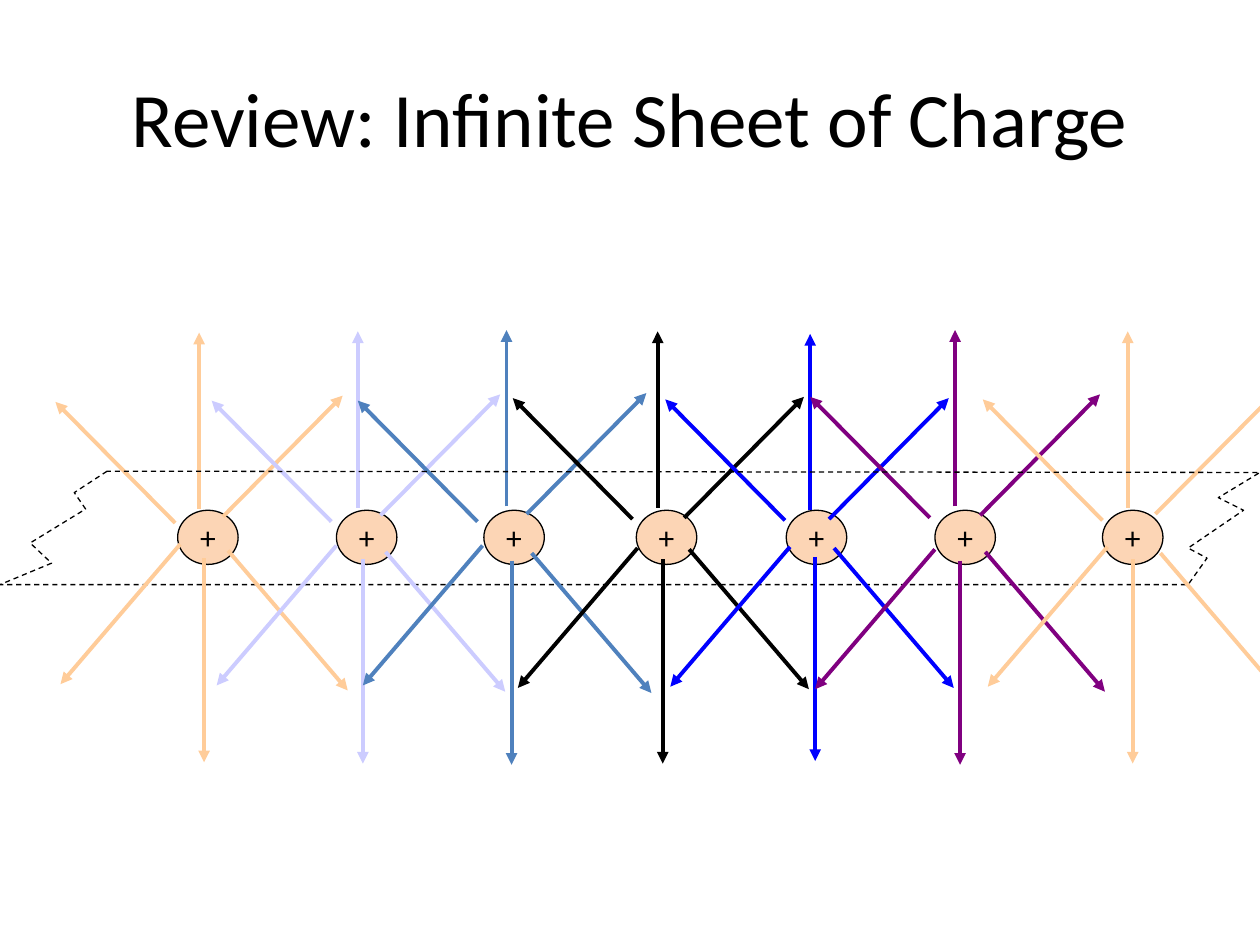
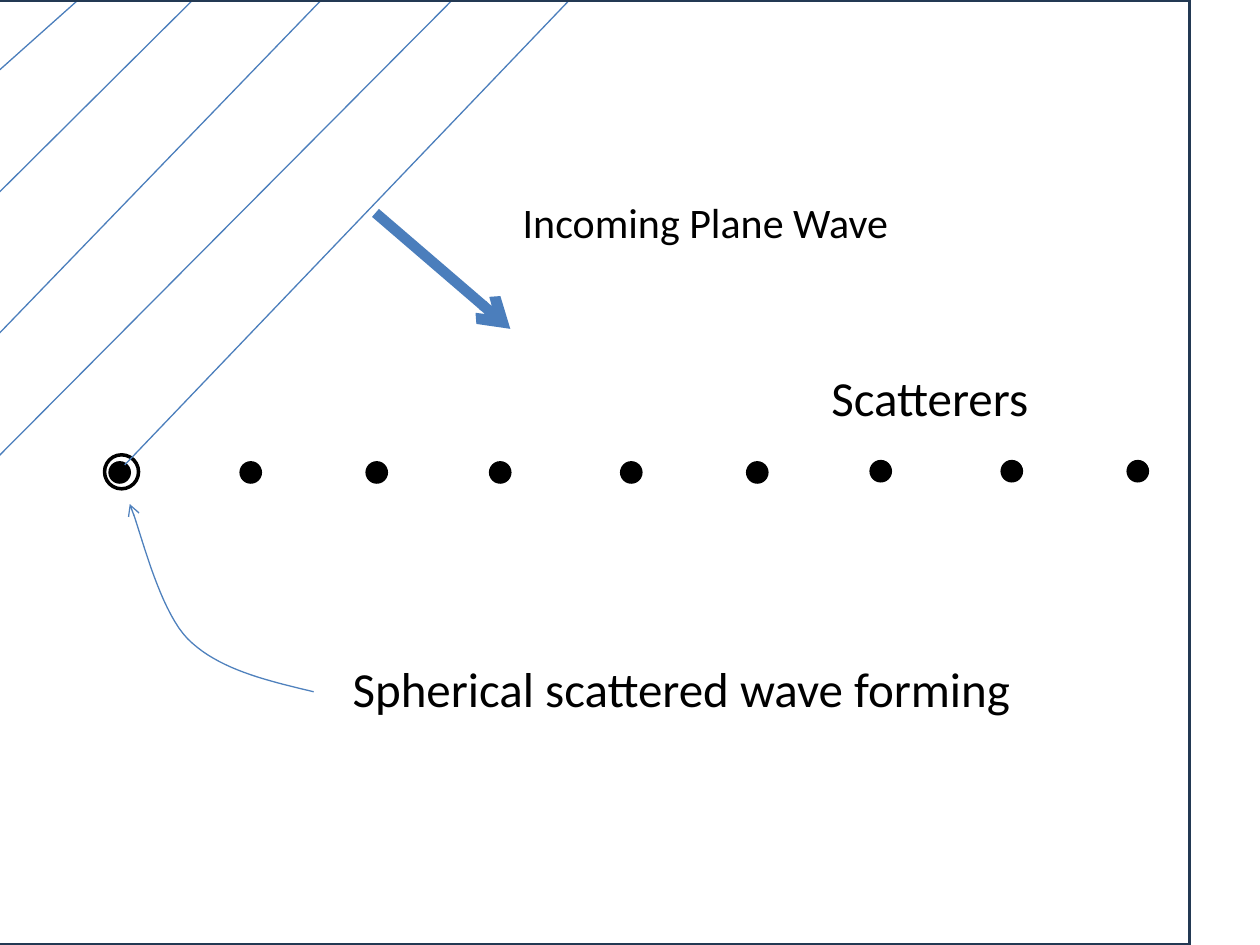
"""Builds two physics slides: a sheet of charge and a row of scatterers."""
from itertools import product
from lxml.etree import SubElement
from pptx import Presentation
from pptx.dml.color import RGBColor
from pptx.enum.dml import MSO_LINE
from pptx.enum.shapes import MSO_CONNECTOR, MSO_SHAPE as SHAPE
from pptx.enum.text import MSO_ANCHOR as ANCHOR, MSO_AUTO_SIZE as AUTO_SIZE, PP_ALIGN as ALIGN
from pptx.oxml.ns import qn
from pptx.util import Pt

SCALE = 9144
WIDTH, HEIGHT = 1000, 750
FONT = "Calibri"
BLACK, STEEL, WAVE, NAVY = "000000", "4F81BD", "4B7EBC", "233953"
PEACH, LILAC, BLUE, PURPLE, SKIN = "FFCC99", "CCCCFF", "0000FF", "800080", "FCD5B5"

CHARGES = [
    (PEACH, 141, (158, 404), (177, 410), (139, 415)),
    (LILAC, 267, (284, 403), (302, 409), (263, 414)),
    (STEEL, 384, (402, 402), (418, 408), (379, 414)),
    (BLACK, 505, (522, 403), (543, 411), (502, 412)),
    (BLUE, 624, (643, 405), (658, 412), (623, 413)),
    (PURPLE, 742, (758, 402), (778, 409), (738, 411)),
    (PEACH, 875, (895, 403), (917, 408), (875, 413)),
]
UP_REACH = [(0, -140), (95, -96), (-95, -96)]
DOWN_REACH = [(0, 162), (95, 111), (-95, 111)]
MIRROR_SHIFT, MIRROR_SUM = 4, 847
SHEET = [(85, 374), (59, 391), (68, 404), (24, 431), (41, 447), (0, 464), (943, 464),
         (958, 443), (943, 435), (987, 405), (967, 395), (1000, 375)]
WAVEFRONTS = [((99, 369), 452), ((-4, 365), 359), ((-2, 266), 255), ((-2, 154), 153), ((-2, 57), 62)]
POINTER = [((249, 549), (211, 540), (173, 531), (149, 507)),
           ((149, 507), (125, 482), (111, 418), (103, 400))]


def color(code):
    return RGBColor.from_string(code)


def px(*lengths):
    return [round(length * SCALE) for length in lengths]


def bezier(points, steps=20):
    for step in range(steps + 1):
        t = step / steps
        weights = ((1 - t) ** 3, 3 * t * (1 - t) ** 2, 3 * t * t * (1 - t), t ** 3)
        yield tuple(sum(w * point[axis] for w, point in zip(weights, points)) for axis in (0, 1))


class Painter:
    """Holds the deck style and draws on the current slide."""

    def __init__(self):
        self.deck = Presentation()
        self.deck.slide_width, self.deck.slide_height = px(WIDTH, HEIGHT)
        self.slide = None

    def new_slide(self, layout):
        self.slide = self.deck.slides.add_slide(self.deck.slide_layouts.get_by_name(layout))

    def set_text(self, frame, text, size, align):
        frame.text = text
        para = frame.paragraphs[0]
        para.alignment = align
        font = para.runs[0].font
        font.name, font.size, font.color.rgb = FONT, Pt(size), color(BLACK)

    def title(self, text, *place):
        box = self.slide.shapes.title
        box.left, box.top, box.width, box.height = px(*place)
        box.text_frame.vertical_anchor = ANCHOR.MIDDLE
        self.set_text(box.text_frame, text, 44, ALIGN.CENTER)

    def label(self, text, size, *place):
        frame = self.slide.shapes.add_textbox(*px(*place)).text_frame
        frame.word_wrap = False
        frame.auto_size = AUTO_SIZE.SHAPE_TO_FIT_TEXT
        self.set_text(frame, text, size, ALIGN.LEFT)

    def paint(self, shape, fill=None, line=None, weight=0.75):
        shape.shadow.inherit = False
        if fill:
            shape.fill.solid()
            shape.fill.fore_color.rgb = color(fill)
        else:
            shape.fill.background()
        if line:
            shape.line.color.rgb = color(line)
            shape.line.width = Pt(weight)
        else:
            shape.line.fill.background()

    def shape(self, kind, place, text=None, **look):
        shape = self.slide.shapes.add_shape(kind, *px(*place))
        self.paint(shape, **look)
        if text:
            frame = shape.text_frame
            frame.word_wrap = False
            frame.vertical_anchor = ANCHOR.MIDDLE
            self.set_text(frame, text, 18, ALIGN.CENTER)

    def arrowhead(self, shape, kind):
        SubElement(shape._element.spPr.find(qn("a:ln")), qn("a:tailEnd"), type=kind)

    def line(self, start, end, code, weight, head=None, group=None):
        shapes = (group or self.slide).shapes
        line = shapes.add_connector(MSO_CONNECTOR.STRAIGHT, *px(*start, *end))
        line.line.color.rgb = color(code)
        line.line.width = Pt(weight)
        SubElement(line._element.spPr, qn("a:effectLst"))
        if head:
            self.arrowhead(line, head)

    def outline(self, points, code, close=False):
        corners = [px(*point) for point in points]
        builder = self.slide.shapes.build_freeform(*corners[0])
        builder.add_line_segments(corners[1:], close=close)
        shape = builder.convert_to_shape()
        self.paint(shape, line=code)
        return shape


def draw_field(painter, reaches, mirrored):
    for (code, _, *starts), (start_index, reach) in product(CHARGES, enumerate(reaches)):
        x, y = starts[start_index]
        if mirrored:
            x, y = x + MIRROR_SHIFT, MIRROR_SUM - y
        painter.line((x, y), (x + reach[0], y + reach[1]), code, 2.25, "triangle")


def sheet_slide(painter):
    painter.new_slide("Title Only")
    painter.title("Review: Infinite Sheet of Charge", 50, 30, 900, 125)
    for charge in CHARGES:
        painter.shape(SHAPE.OVAL, (charge[1], 405, 48, 43), "+", fill=SKIN, line=BLACK)
    draw_field(painter, UP_REACH, False)
    sheet = painter.outline(SHEET, BLACK, close=True)
    sheet.line.dash_style = MSO_LINE.DASH
    draw_field(painter, DOWN_REACH, True)


def scatter_slide(painter):
    painter.new_slide("Blank")
    for left, offset in product((86, 388, 690), (0, 104, 204)):
        painter.shape(SHAPE.OVAL, (left + offset, 365 if left == 690 else 366, 18, 18), fill=BLACK)
    painter.shape(SHAPE.OVAL, (83, 361, 27, 27), line=BLACK, weight=2)
    painter.line((298, 169), (405, 261), WAVE, 6, "arrow")
    painter.label("Incoming Plane Wave", 24, 405, 151, 313, 50)
    painter.label("Scatterers", 28, 650, 287, 179, 57)
    first, second = (list(bezier(curve)) for curve in POINTER)
    painter.arrowhead(painter.outline(first + second[1:], STEEL), "arrow")
    painter.label("Spherical scattered wave forming", 28, 270, 518, 548, 57)
    wavefronts = painter.slide.shapes.add_group_shape()
    for start, top_x in WAVEFRONTS:
        painter.line(start, (top_x, 0), WAVE, 0.75, group=wavefronts)
    painter.shape(SHAPE.RECTANGLE, (-4, 0, 948, HEIGHT), line=NAVY, weight=2)


def main():
    painter = Painter()
    sheet_slide(painter)
    scatter_slide(painter)
    painter.deck.save("out.pptx")


if __name__ == "__main__":
    main()
